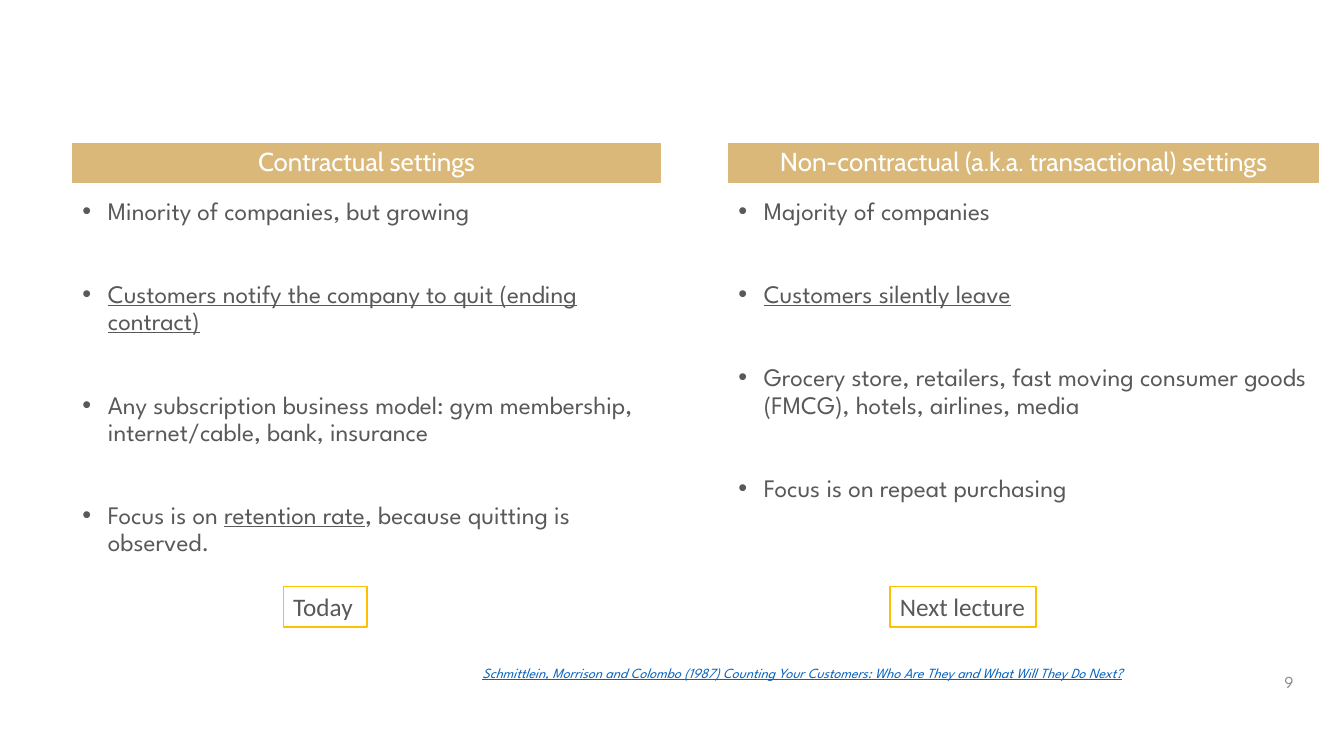
from lxml import etree
from pptx import Presentation
from pptx.dml.color import RGBColor
from pptx.enum.shapes import MSO_SHAPE
from pptx.enum.text import MSO_ANCHOR, PP_ALIGN
from pptx.oxml.ns import qn
from pptx.util import Cm, Pt

RECTANGLE = MSO_SHAPE.RECTANGLE
TOP, MIDDLE = MSO_ANCHOR.TOP, MSO_ANCHOR.MIDDLE
LEFT, CENTER, RIGHT = PP_ALIGN.LEFT, PP_ALIGN.CENTER, PP_ALIGN.RIGHT

# Content: each bullet is a list of (text, underlined) runs
COLUMNS = [
    {
        "heading": "Contractual settings",
        "bullets": [
            [("Minority of companies, but growing", False)],
            [("Customers notify the company to quit (ending contract)", True)],
            [("Any subscription business model: gym membership, "
              "internet/cable, bank, insurance", False)],
            [("Focus is on ", False), ("retention rate", True),
             (", because quitting is observed.", False)],
        ],
        "left": 1.83, "heading_width": 14.81,
        "tag": "Today", "tag_left": 7.14, "tag_width": 2.11,
    },
    {
        "heading": "Non-contractual (a.k.a. transactional) settings",
        "bullets": [
            [("Majority of companies", False)],
            [("Customers silently leave", True)],
            [("Grocery store, retailers, fast moving consumer goods (FMCG), "
              "hotels, airlines, media", False)],
            [("Focus is on repeat purchasing", False)],
        ],
        "left": 18.36, "heading_width": 14.86,
        "tag": "Next lecture", "tag_left": 22.43, "tag_width": 3.68,
    },
]
CITATION = ("Schmittlein, Morrison and Colombo (1987) Counting Your Customers: "
            "Who Are They and What Will They Do Next?")
PAGE_NUMBER = "9"

# Style
BODY_FONT, HEADING_FONT, TAG_FONT = "League Spartan", "Cabin", "Calibri"
WHITE = RGBColor(0xFF, 0xFF, 0xFF)
SAND = RGBColor(0xDA, 0xB8, 0x79)
GOLD = RGBColor(0xFF, 0xC0, 0x00)
DARK_GRAY = RGBColor(0x59, 0x59, 0x59)
LIGHT_GRAY = RGBColor(0x8C, 0x8C, 0x8C)
LINK_BLUE = RGBColor(0x05, 0x63, 0xC1)

# Layout in centimetres
HEADING_TOP, HEADING_HEIGHT = 3.61, 0.99
BODY_TOP, BODY_WIDTH, BODY_HEIGHT = 4.88, 14.86, 11.71
TAG_TOP, TAG_HEIGHT = 14.78, 1.02
BULLET_INDENT = Cm(0.64)
BULLET_GAP = Pt(40)


def style_run(run, font_name, size, color, underline=False, italic=False):
    font = run.font
    font.name, font.size = font_name, Pt(size)
    font.color.rgb = color
    font.underline, font.italic = underline, italic


def add_text_box(slide, box, anchor=TOP):
    text_frame = slide.shapes.add_textbox(*map(Cm, box)).text_frame
    text_frame.word_wrap = True
    text_frame.vertical_anchor = anchor
    return text_frame


def add_line(text_frame, text, align, *style, **options):
    text_frame.text = text
    paragraph = text_frame.paragraphs[0]
    paragraph.alignment = align
    style_run(paragraph.runs[0], *style, **options)


def add_label(slide, box, text, fill, line, line_width, align, wrap, *style):
    shape = slide.shapes.add_shape(RECTANGLE, *map(Cm, box))
    shape.shadow.inherit = False
    shape.fill.solid()
    shape.fill.fore_color.rgb = fill
    shape.line.color.rgb = line
    shape.line.width = Pt(line_width)
    shape.text_frame.word_wrap = wrap
    shape.text_frame.vertical_anchor = MIDDLE
    add_line(shape.text_frame, text, align, *style)
    shape.text_frame.paragraphs[0].line_spacing = 0.9 if wrap else 1.0


def add_bullets(slide, box, bullets):
    text_frame = add_text_box(slide, box)
    for index, runs in enumerate(bullets):
        paragraph = text_frame.add_paragraph() if index else text_frame.paragraphs[0]
        paragraph.line_spacing = 0.9
        paragraph.space_before = BULLET_GAP if index else Pt(10)
        properties = paragraph._p.get_or_add_pPr()
        properties.set("marL", str(BULLET_INDENT))
        properties.set("indent", str(-BULLET_INDENT))
        etree.SubElement(properties, qn("a:buFont"), typeface="Arial")
        etree.SubElement(properties, qn("a:buChar"), char="•")
        for text, underlined in runs:
            run = paragraph.add_run()
            run.text = text
            style_run(run, BODY_FONT, 18, DARK_GRAY, underline=underlined)


def main():
    presentation = Presentation()
    presentation.slide_width, presentation.slide_height = Cm(33.87), Cm(19.05)
    slide = presentation.slides.add_slide(presentation.slide_layouts[6])

    # Two columns: heading, bullets, lecture tag
    for column in COLUMNS:
        left = column["left"]
        add_label(slide, (left, HEADING_TOP, column["heading_width"], HEADING_HEIGHT),
                  column["heading"], SAND, SAND, 0.75, CENTER, True,
                  HEADING_FONT, 18.5, WHITE)
        add_bullets(slide, (left, BODY_TOP, BODY_WIDTH, BODY_HEIGHT), column["bullets"])
        add_label(slide, (column["tag_left"], TAG_TOP, column["tag_width"], TAG_HEIGHT),
                  column["tag"], WHITE, GOLD, 1, LEFT, False,
                  TAG_FONT, 18, DARK_GRAY)

    # Citation and page number
    add_line(add_text_box(slide, (11.91, 16.61, 19.33, 0.66)), CITATION, LEFT,
             BODY_FONT, 10, LINK_BLUE, underline=True, italic=True)
    add_line(add_text_box(slide, (31.78, 16.66, 1.07, 1.02), MIDDLE), PAGE_NUMBER, RIGHT,
             BODY_FONT, 12, LIGHT_GRAY)

    presentation.save("out.pptx")


if __name__ == "__main__":
    main()
